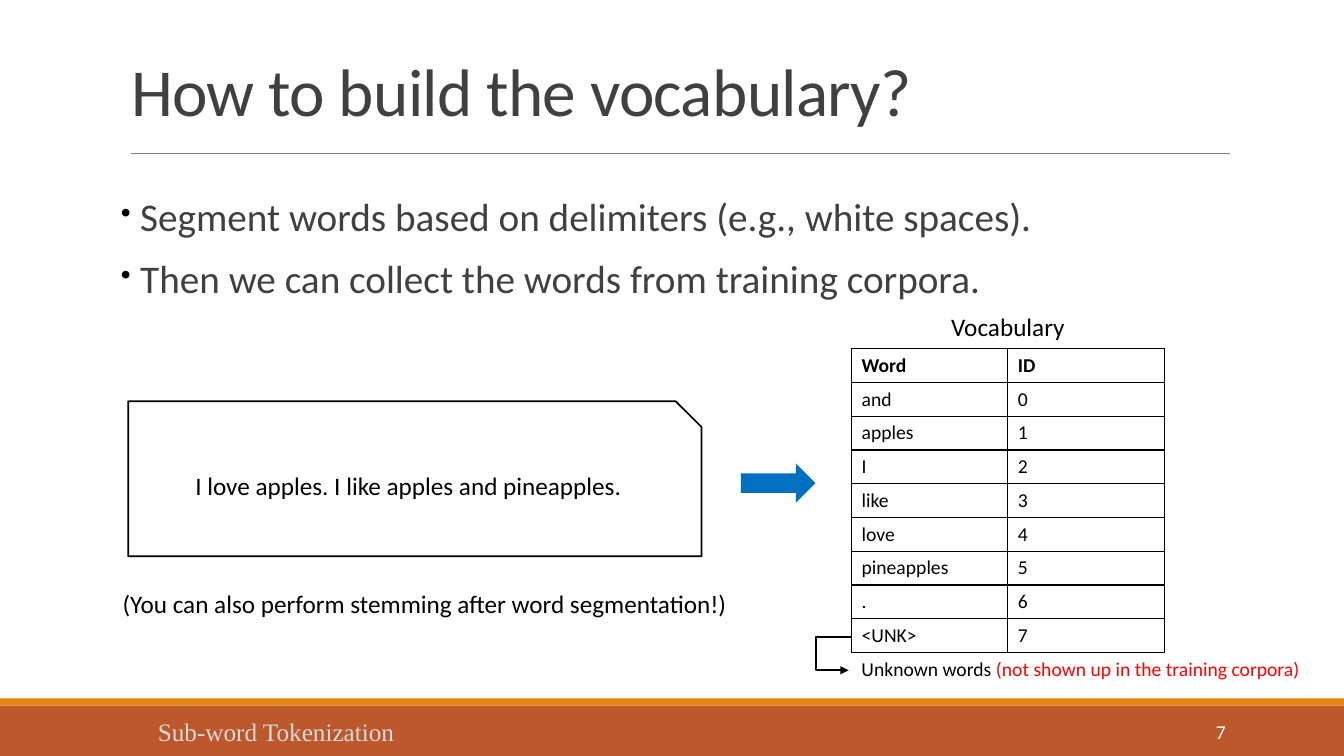
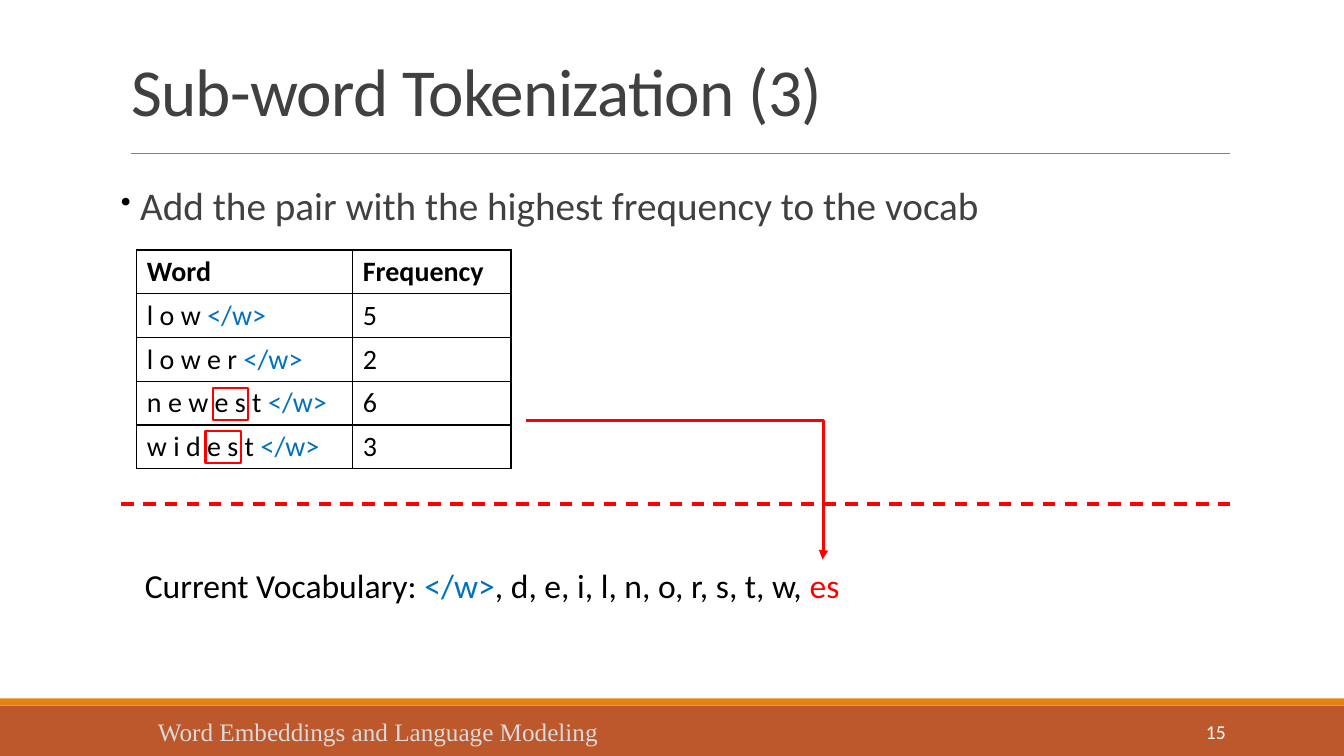
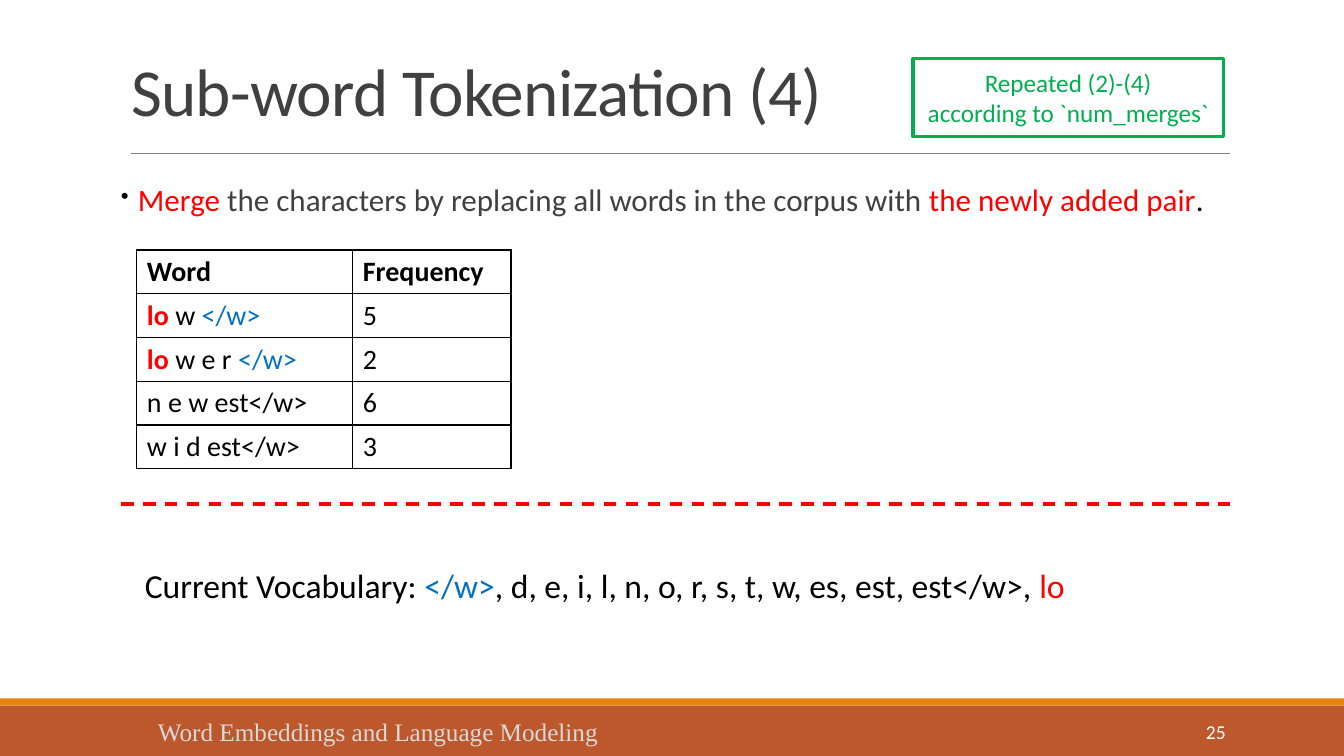
import dataclasses

import lxml.etree
import pptx
import pptx.dml.color
import pptx.enum.dml
import pptx.enum.shapes
import pptx.enum.text
import pptx.oxml.ns
import pptx.util

Cm = pptx.util.Cm
Pt = pptx.util.Pt
qn = pptx.oxml.ns.qn
SHAPE = pptx.enum.shapes.MSO_SHAPE
CONNECTOR = pptx.enum.shapes.MSO_CONNECTOR
ALIGN = pptx.enum.text.PP_ALIGN
ANCHOR = pptx.enum.text.MSO_ANCHOR


@dataclasses.dataclass(frozen=True)
class Theme:
    font: str = "Calibri"
    footer_font: str = "Times New Roman"
    black: str = "000000"
    white: str = "FFFFFF"
    heading: str = "404040"
    rule: str = "808080"
    band: str = "BD582C"
    stripe: str = "E48312"
    footer: str = "D9D9D9"
    red: str = "FF0000"
    blue: str = "0070C0"
    green: str = "00B050"
    title_size: float = 48
    body_size: float = 28
    merge_size: float = 22.2
    vocabulary_size: float = 24
    frequency_size: float = 20
    text_size: float = 18
    small_size: float = 14


THEME = Theme()
END_MARK = ("</w>", {"color": THEME.blue})


def rgb(color):
    return pptx.dml.color.RGBColor.from_string(color)


def add_xml(parent, tag, **attributes):
    return lxml.etree.SubElement(parent, qn(tag), attributes)


def write_text(frame, *paragraphs, size=THEME.text_size, color=THEME.black, font=THEME.font,
               bold=False, align=ALIGN.LEFT, anchor=ANCHOR.TOP, line_spacing=None, tracking=None):
    frame.word_wrap = True
    frame.vertical_anchor = anchor
    for index, pieces in enumerate(paragraphs):
        paragraph = frame.paragraphs[0] if index == 0 else frame.add_paragraph()
        paragraph.alignment = align
        if line_spacing:
            paragraph.line_spacing = line_spacing
        for piece in [pieces] if isinstance(pieces, str) else pieces:
            words, accent = (piece, {}) if isinstance(piece, str) else piece
            run = paragraph.add_run()
            run.text = words
            run.font.name = font
            run.font.size = Pt(size)
            run.font.bold = accent.get("bold", bold)
            run.font.color.rgb = rgb(accent.get("color", color))
            if tracking:
                run._r.get_or_add_rPr().set("spc", str(tracking))


def add_text(slide, place, *paragraphs, **text_format):
    box = slide.shapes.add_textbox(*map(Cm, place))
    write_text(box.text_frame, *paragraphs, **text_format)
    return box


def add_bullets(slide, place, *paragraphs, **text_format):
    frame = add_text(slide, place, *paragraphs, **text_format).text_frame
    frame.margin_left = frame.margin_right = 0
    for paragraph in frame.paragraphs:
        paragraph.space_before = Pt(12)
        paragraph.space_after = Pt(2)
        properties = paragraph._p.get_or_add_pPr()
        properties.set("marL", str(Cm(0.25)))
        properties.set("indent", str(-Cm(0.25)))
        add_xml(add_xml(properties, "a:buClr"), "a:srgbClr", val=THEME.black)
        add_xml(properties, "a:buSzPct", val="75000")
        add_xml(properties, "a:buChar", char="•")


def add_figure(slide, kind, place, fill=None, outline=None, width=1.5):
    figure = slide.shapes.add_shape(kind, *map(Cm, place))
    figure.shadow.inherit = False
    if fill:
        figure.fill.solid()
        figure.fill.fore_color.rgb = rgb(fill)
    else:
        figure.fill.background()
    if outline:
        figure.line.color.rgb = rgb(outline)
        figure.line.width = Pt(width)
    else:
        figure.line.fill.background()
    return figure


def add_line(slide, start, end, color, width, kind=CONNECTOR.STRAIGHT):
    line = slide.shapes.add_connector(kind, *map(Cm, start + end))
    line.line.color.rgb = rgb(color)
    line.line.width = Pt(width)
    add_xml(line.element.spPr, "a:effectLst")
    return line


def add_elbow_arrow(slide, start, end, turn, color, width):
    arrow = add_line(slide, start, end, color, width, CONNECTOR.ELBOW)
    share = (turn - start[0]) / (end[0] - start[0])
    properties = arrow.element.spPr
    guides = properties.find(qn("a:prstGeom")).find(qn("a:avLst"))
    add_xml(guides, "a:gd", name="adj1", fmla=f"val {round(share * 100000)}")
    add_xml(properties.find(qn("a:ln")), "a:tailEnd", type="triangle")


def add_borders(cell):
    properties = cell._tc.get_or_add_tcPr()
    for side in ("a:lnL", "a:lnR", "a:lnT", "a:lnB"):
        border = add_xml(properties, side, w=str(Pt(1)))
        add_xml(add_xml(border, "a:solidFill"), "a:srgbClr", val=THEME.black)


def add_grid(slide, corner, widths, row_height, rows, size):
    extent = (sum(widths), row_height * len(rows))
    table = slide.shapes.add_table(len(rows), len(widths), *map(Cm, corner + extent)).table
    table.horz_banding = False
    for column, width in zip(table.columns, widths):
        column.width = Cm(width)
    for index, entries in enumerate(rows):
        table.rows[index].height = Cm(row_height)
        for column, entry in enumerate(entries):
            cell = table.cell(index, column)
            add_borders(cell)
            cell.fill.background()
            write_text(cell.text_frame, entry, size=size, bold=index == 0)


def add_frequencies(slide, words):
    rows = [("Word", "Frequency"), *zip(words, "5263")]
    add_grid(slide, (3.45, 6.3), (5.44, 3.99), 1.1, rows, THEME.frequency_size)


def add_current_vocabulary(slide, tokens, newest):
    divider = add_line(slide, (3.05, 12.7), (30.99, 12.7), THEME.red, 2.25)
    divider.line.dash_style = pptx.enum.dml.MSO_LINE.DASH
    add_text(slide, (3.4, 14.1, 24.1, 1.27),
             ["Current Vocabulary: ", END_MARK, tokens, (newest, {"color": THEME.red})],
             size=THEME.vocabulary_size)


def add_slide(deck, layout, title, footer, number):
    slide = deck.slides.add_slide(layout)
    heading = slide.shapes.title
    heading.left, heading.top, heading.width, heading.height = map(Cm, (3.05, 0.99, 27.94, 2.87))
    write_text(heading.text_frame, title, size=THEME.title_size, color=THEME.heading,
               anchor=ANCHOR.MIDDLE, line_spacing=0.85, tracking=-50)
    add_text(slide, (3.73, 17.93, 17.65, 1.02), footer,
             color=THEME.footer, font=THEME.footer_font)
    add_text(slide, (27.51, 17.93, 3.63, 1.02), number, size=THEME.small_size,
             color=THEME.white, align=ALIGN.RIGHT, anchor=ANCHOR.MIDDLE)
    return slide


def decorate_layout(layout, slide):
    for placeholder in list(layout.placeholders)[1:]:
        layout.shapes.element.remove(placeholder.element)
    decorations = (
        add_figure(slide, SHAPE.RECTANGLE, (0, 17.78, 33.87, 1.27), THEME.band),
        add_figure(slide, SHAPE.RECTANGLE, (0, 17.6, 33.87, 0.18), THEME.stripe),
        add_line(slide, (3.3, 3.86), (30.99, 3.86), THEME.rule, 0.5),
    )
    for decoration in decorations:
        layout.shapes.element.append(decoration.element)


def build_vocabulary(deck, layout):
    slide = add_slide(deck, layout, "How to build the vocabulary?", "Sub-word Tokenization", "7")
    add_bullets(slide, (3.05, 4.85, 27.94, 3.66),
                " Segment words based on delimiters (e.g., white spaces).",
                " Then we can collect the words from training corpora.",
                size=THEME.body_size, color=THEME.heading, line_spacing=0.9)
    corpus = add_figure(slide, SHAPE.SNIP_1_RECTANGLE, (3.23, 10.11, 14.45, 3.91),
                        outline=THEME.black, width=1.25)
    write_text(corpus.text_frame, "I love apples. I like apples and pineapples.",
               align=ALIGN.CENTER, anchor=ANCHOR.MIDDLE)
    add_figure(slide, SHAPE.RIGHT_ARROW, (18.67, 11.68, 1.88, 0.99), THEME.blue)
    words = ("and", "apples", "I", "like", "love", "pineapples", ".", "<UNK>")
    rows = [("Word", "ID"), *((word, str(index)) for index, word in enumerate(words))]
    add_grid(slide, (21.46, 8.79), (3.94, 3.94), 0.85, rows, THEME.small_size)
    add_text(slide, (2.84, 14.71, 16, 1.02),
             "(You can also perform stemming after word segmentation!)")
    add_text(slide, (23.52, 7.72, 3.76, 1.02), "Vocabulary", align=ALIGN.CENTER)
    add_text(slide, (21.46, 16.43, 11.94, 0.86),
             ["Unknown words ", ("(not shown up in the training corpora)", {"color": THEME.red})],
             size=THEME.small_size)
    add_elbow_arrow(slide, (21.44, 16.05), (21.39, 16.89), 20.57, THEME.black, 1.5)
    return slide


def build_pair_selection(deck, layout, footer):
    slide = add_slide(deck, layout, "Sub-word Tokenization (3)", footer, "15")
    add_bullets(slide, (3.05, 3.86, 27.94, 2.34),
                " Add the pair with the highest frequency to the vocab",
                size=THEME.body_size, color=THEME.heading, line_spacing=1.5)
    words = ("l o w ", "l o w e r ", "n e w e s t ", "w i d e s t ")
    add_frequencies(slide, [[word, END_MARK] for word in words])
    add_current_vocabulary(slide, ", d, e, i, l, n, o, r, s, t, w, ", "es")
    for left, top in ((5.36, 9.78), (5.18, 10.87)):
        add_figure(slide, SHAPE.RECTANGLE, (left, top, 0.89, 0.81), outline=THEME.red)
    add_elbow_arrow(slide, (13.26, 10.59), (20.73, 14.1), 20.75, THEME.red, 2.25)


def build_merge(deck, layout, footer):
    slide = add_slide(deck, layout, "Sub-word Tokenization (4)", footer, "25")
    red = {"color": THEME.red}
    add_bullets(slide, (3.05, 3.96, 27.94, 2.87),
                [" ", ("Merge", red),
                 " the characters by replacing all words in the corpus with ",
                 ("the newly added pair", red), (".", {"color": THEME.black})],
                size=THEME.merge_size, color=THEME.heading, line_spacing=1.5)
    merged = ("lo", {"color": THEME.red, "bold": True})
    add_frequencies(slide, [[merged, " w ", END_MARK], [merged, " w e r ", END_MARK],
                            "n e w est</w>", "w i d est</w>"])
    add_current_vocabulary(slide, ", d, e, i, l, n, o, r, s, t, w, es, est, est</w>, ", "lo")
    repeat_note = add_figure(slide, SHAPE.RECTANGLE, (23.01, 1.47, 7.82, 1.98),
                             outline=THEME.green, width=2.25)
    write_text(repeat_note.text_frame, "Repeated (2)-(4)", "according to `num_merges`",
               color=THEME.green, align=ALIGN.CENTER, anchor=ANCHOR.MIDDLE)


def main():
    deck = pptx.Presentation()
    deck.slide_width, deck.slide_height = Cm(33.87), Cm(19.05)
    layout = deck.slide_layouts.get_by_name("Title Only")
    footer = "Word Embeddings and Language Modeling"
    decorate_layout(layout, build_vocabulary(deck, layout))
    build_pair_selection(deck, layout, footer)
    build_merge(deck, layout, footer)
    deck.save("out.pptx")


if __name__ == "__main__":
    main()
